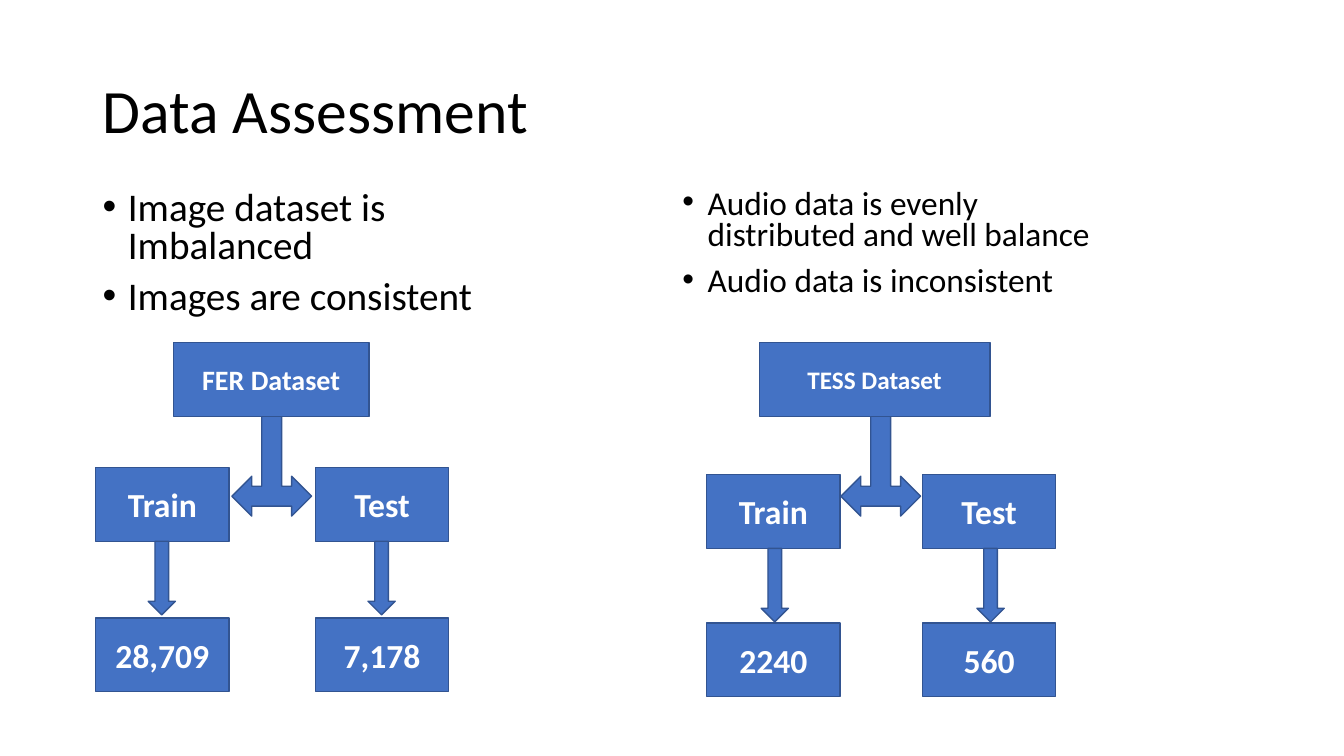
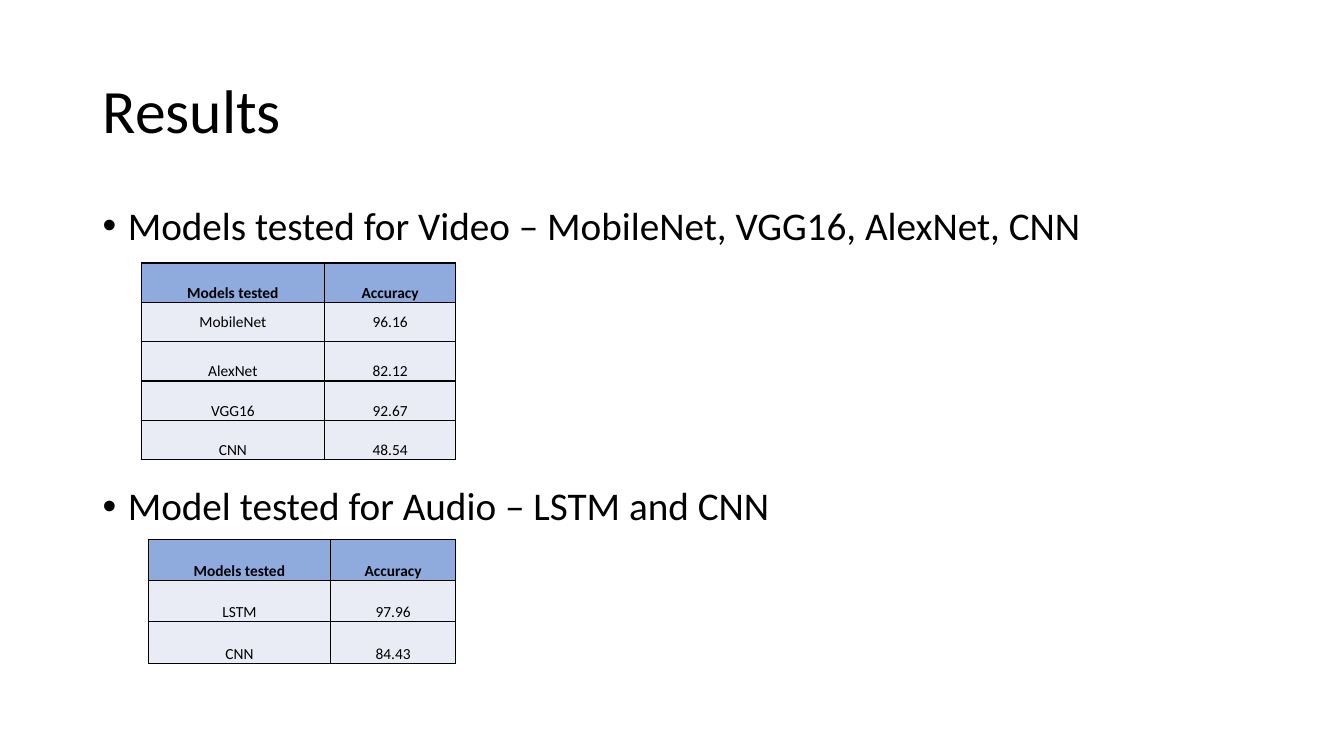
"""Build two slides on dataset assessment and model results."""
import lxml.etree
import pptx
import pptx.dml.color
import pptx.enum.shapes
import pptx.enum.text
import pptx.oxml.ns
import pptx.util

Inches = pptx.util.Inches
Pt = pptx.util.Pt
Align = pptx.enum.text.PP_ALIGN
Anchor = pptx.enum.text.MSO_ANCHOR
Preset = pptx.enum.shapes.MSO_SHAPE
qn = pptx.oxml.ns.qn

FONT = "Calibri"
INK = "000000"
WHITE = "FFFFFF"
BLUE = "4472C4"
BLUE_EDGE = "325491"
HEADER_FILL = "8FAADC"
BODY_FILL = "E9EBF5"

BOX_W, BOX_H = 1.32, 0.73
FORK_W, FORK_H, FORK_TOP = 0.79, 1.19, 3.93
ARROW_W = 0.27
ROOT_TOP = 3.4


def color(hex_value):
    """Turn a hex string into a colour."""
    return pptx.dml.color.RGBColor.from_string(hex_value)


def write(paragraph, text, size=24, ink=INK, bold=False, align=Align.LEFT,
          line=1.0, before=0):
    """Put formatted text into a paragraph."""
    paragraph.alignment = align
    paragraph.line_spacing = line
    paragraph.space_before = Pt(before)
    run = paragraph.add_run()
    run.text = text
    run.font.name = FONT
    run.font.size = Pt(size)
    run.font.bold = bold
    run.font.color.rgb = color(ink)


def add_frame(slide, left, top, width, height, anchor=Anchor.TOP):
    """Add a wrapping text box and return its text frame."""
    box = slide.shapes.add_textbox(*map(Inches, (left, top, width, height)))
    frame = box.text_frame
    frame.word_wrap = True
    frame.vertical_anchor = anchor
    return frame


def add_titled_slide(deck, title):
    """Add a blank-layout slide with the shared title style."""
    slide = deck.slides.add_slide(deck.slide_layouts[6])
    frame = add_frame(slide, 0.92, 0.4, 11.5, 1.45, Anchor.MIDDLE)
    write(frame.paragraphs[0], title, size=44, line=0.9)
    return slide


def add_bullets(slide, place, points, size=28, line=0.8, gap=10):
    """Add a bulleted list with a given gap between its points."""
    frame = add_frame(slide, *place)
    for index, point in enumerate(points):
        paragraph = frame.add_paragraph() if index else frame.paragraphs[0]
        write(paragraph, point, size=size, line=line,
              before=gap if index else 10)
        properties = paragraph._p.get_or_add_pPr()
        properties.set("marL", str(Inches(0.25)))
        properties.set("indent", str(Inches(-0.25)))
        lxml.etree.SubElement(properties, qn("a:buFont"), typeface="Arial")
        lxml.etree.SubElement(properties, qn("a:buChar"), char="•")


def add_block(slide, preset, left, top, width, height, text="", size=24):
    """Add a blue shape, with a bold label if there is one."""
    block = slide.shapes.add_shape(
        preset, *map(Inches, (left, top, width, height)))
    block.shadow.inherit = False
    block.fill.solid()
    block.fill.fore_color.rgb = color(BLUE)
    block.line.color.rgb = color(BLUE_EDGE)
    block.line.width = Pt(1)
    if text:
        block.text_frame.vertical_anchor = Anchor.MIDDLE
        write(block.text_frame.paragraphs[0], text, size=size, ink=WHITE,
              bold=True, align=Align.CENTER)


def add_split(slide, dataset, root_left, root_width, label_size, fork_left,
              split_top, count_top, arrow_inset, branches):
    """Draw a dataset that forks into train and test counts."""
    add_block(slide, Preset.LEFT_RIGHT_UP_ARROW,
              fork_left, FORK_TOP, FORK_W, FORK_H)
    add_block(slide, Preset.RECTANGLE, root_left, ROOT_TOP, root_width, BOX_H,
              dataset, label_size)
    for left, part, count in branches:
        add_block(slide, Preset.RECTANGLE, left, split_top, BOX_W, BOX_H, part)
        add_block(slide, Preset.DOWN_ARROW, left + arrow_inset,
                  split_top + BOX_H, ARROW_W, BOX_H)
        add_block(slide, Preset.RECTANGLE, left, count_top, BOX_W, BOX_H, count)


def style_cell(cell, fill, anchor):
    """Set a cell's borders, fill, margins and anchor."""
    properties = cell._tc.get_or_add_tcPr()
    for side in ("a:lnL", "a:lnR", "a:lnT", "a:lnB"):
        border = lxml.etree.SubElement(properties, qn(side), w=str(Pt(1)))
        paint = lxml.etree.SubElement(border, qn("a:solidFill"))
        lxml.etree.SubElement(paint, qn("a:srgbClr"), val=INK)
    cell.fill.solid()
    cell.fill.fore_color.rgb = color(fill)
    cell.margin_left = cell.margin_right = cell.margin_top = Inches(0.01)
    cell.margin_bottom = 0
    cell.vertical_anchor = anchor


def add_scores(slide, left, top, widths, row_height, scores, middle_rows=()):
    """Add a table of model accuracies under a shared header."""
    rows = [("Models tested", "Accuracy"), *scores]
    table = slide.shapes.add_table(
        len(rows), len(widths), Inches(left), Inches(top),
        Inches(sum(widths)), Inches(row_height * len(rows))).table
    for column, width in zip(table.columns, widths):
        column.width = Inches(width)
    for row_index, row in enumerate(rows):
        table.rows[row_index].height = Inches(row_height)
        header = row_index == 0
        anchor = Anchor.MIDDLE if row_index in middle_rows else Anchor.BOTTOM
        for column_index, text in enumerate(row):
            cell = table.cell(row_index, column_index)
            style_cell(cell, HEADER_FILL if header else BODY_FILL, anchor)
            write(cell.text_frame.paragraphs[0], text, size=11, bold=header,
                  align=Align.CENTER)


def build_assessment(deck):
    """Build the slide that compares the two datasets."""
    slide = add_titled_slide(deck, "Data Assessment")
    add_bullets(slide, (0.92, 1.85, 4.58, 1.45),
                ["Image dataset is Imbalanced", "Images are consistent"])
    add_bullets(slide, (6.67, 1.83, 4.58, 1.45),
                ["Audio data is evenly distributed and well balance",
                 "Audio data is inconsistent"], size=23.8)
    add_split(slide, "FER Dataset", root_left=1.72, root_width=1.94,
              label_size=20, fork_left=2.3, split_top=4.64, count_top=6.13,
              arrow_inset=0.52,
              branches=[(0.95, "Train", "28,709"), (3.13, "Test", "7,178")])
    add_split(slide, "TESS Dataset", root_left=7.53, root_width=2.29,
              label_size=18, fork_left=8.34, split_top=4.71, count_top=6.18,
              arrow_inset=0.54,
              branches=[(7.01, "Train", "2240"), (9.15, "Test", "560")])


def build_results(deck):
    """Build the slide with the accuracy tables."""
    slide = add_titled_slide(deck, "Results")
    add_bullets(slide, (0.92, 2, 11.5, 4.76),
                ["Models tested for Video – MobileNet, VGG16, AlexNet, CNN",
                 "Model tested for Audio – LSTM and CNN"], line=0.9, gap=170)
    add_scores(slide, 1.4, 2.61, (1.82, 1.3), 0.39,
               [("MobileNet", "96.16"), ("AlexNet", "82.12"),
                ("VGG16", "92.67"), ("CNN", "48.54")], middle_rows=(1,))
    add_scores(slide, 1.47, 5.35, (1.81, 1.24), 0.41,
               [("LSTM", "97.96"), ("CNN", "84.43")])


def main():
    """Build and save the deck."""
    deck = pptx.Presentation()
    deck.slide_width = Inches(13.33)
    deck.slide_height = Inches(7.5)
    build_assessment(deck)
    build_results(deck)
    deck.save("out.pptx")


if __name__ == "__main__":
    main()
